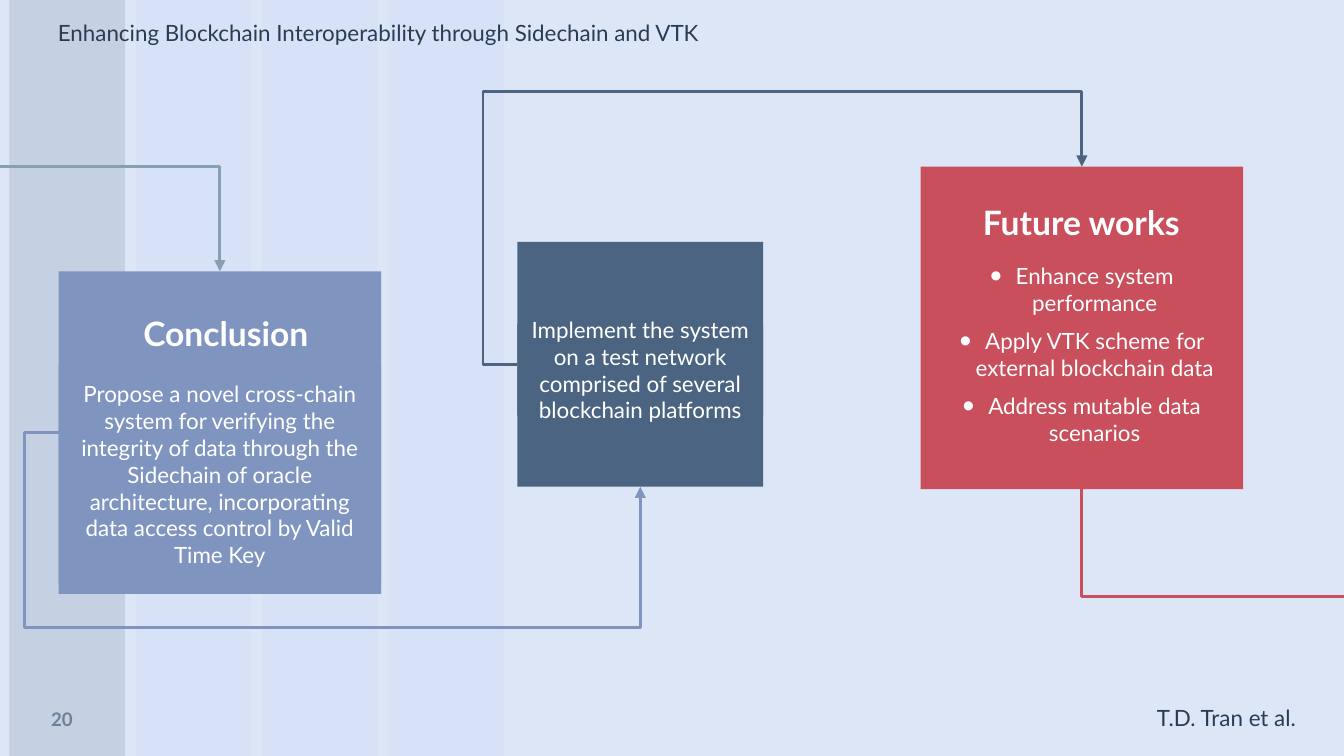
from lxml import etree
from pptx import Presentation
from pptx.dml.color import RGBColor
from pptx.enum.shapes import MSO_CONNECTOR, MSO_SHAPE
from pptx.enum.text import MSO_ANCHOR as Anchor, MSO_AUTO_SIZE, PP_ALIGN as Align
from pptx.oxml.ns import qn
from pptx.util import Pt

COLORS = {
    "background": "DDE6F7", "stripe": "D8E2F7", "dark stripe": "C6D0E3",
    "ink": "283D55", "number": "6D819A", "white": "FFFFFF",
    "incoming": "869FB2", "conclusion": "7F95C0", "test": "4A6482", "future": "C84F5B",
}
WIDTH, HEIGHT = 720, 405
HEADER = "Enhancing Blockchain Interoperability through Sidechain and VTK"
AUTHORS = "T.D. Tran et al."
PAGE_NUMBER = "20"

# Boxes are left, top, width, height in points.
CARDS = {
    "conclusion": (31.4, 145.4, 172.8, 172.8),
    "test": (277.2, 129.6, 131.6, 131.2),
    "future": (493.2, 89.3, 172.8, 172.8),
}
HEADINGS = [
    ("Conclusion", "conclusion", (60.5, 164.9, 121, 27.4)),
    ("Future works", "future", (514.1, 105.1, 130.3, 27.4)),
]
STATEMENTS = [
    ("Propose a novel cross-chain system for verifying the integrity of data through "
     "the Sidechain of oracle architecture, incorporating data access control by Valid "
     "Time Key", "conclusion", (31.4, 195.8, 172.8, 116.6)),
    ("Implement the system on a test network comprised of several blockchain platforms",
     "test", (277.2, 173.5, 131.6, 49)),
]
FUTURE_WORKS = [
    "Enhance system performance",
    "Apply VTK scheme for external blockchain data",
    "Address mutable data scenarios",
]
FUTURE_BOX = (493.2, 122.4, 172.8, 134.6)
LOOP_GAP = 18.4  # how far a loop swings out to the left of its card


def color(name):
    return RGBColor.from_string(COLORS[name])


def place(shape, box):
    shape.left, shape.top, shape.width, shape.height = map(Pt, box)


def add_block(box, fill):
    block = slide.shapes.add_shape(MSO_SHAPE.RECTANGLE, *map(Pt, box))
    block.shadow.inherit = False
    block.fill.solid()
    block.fill.fore_color.rgb = color(fill)
    block.line.fill.background()
    return block


def write(shape, lines, size=12, ink="white", bold=False, align=Align.CENTER,
          anchor=Anchor.MIDDLE, inset=7.2, bulleted=False):
    frame = shape.text_frame
    frame.word_wrap = True
    frame.auto_size = MSO_AUTO_SIZE.NONE
    frame.vertical_anchor = anchor
    frame.margin_left = frame.margin_right = Pt(7.2)
    frame.margin_top = frame.margin_bottom = Pt(inset)
    frame.text = "\n".join(lines)
    for i, paragraph in enumerate(frame.paragraphs):
        paragraph.alignment = align
        paragraph.space_before = Pt(6 if i else 0)
        if bulleted:
            add_bullet(paragraph)
        font = paragraph.font
        font.name, font.size, font.bold = "Lato", Pt(size), bold
        font.color.rgb = color(ink)


def add_bullet(paragraph):
    properties = paragraph._p.get_or_add_pPr()
    properties.set("marL", str(Pt(13.7)))
    properties.set("indent", str(Pt(-13.7)))
    bullet_color = etree.SubElement(properties, qn("a:buClr"))
    etree.SubElement(bullet_color, qn("a:srgbClr"), val=COLORS["white"])
    etree.SubElement(properties, qn("a:buSzPct"), val="150000")
    etree.SubElement(properties, qn("a:buFont"), typeface="Arial")
    etree.SubElement(properties, qn("a:buChar"), char="•")


def add_elbow(start, end, ink, bends=(), arrow=True):
    """Leave start sideways and reach end vertically.

    bends gives the x of the first turn and the y of the second one.
    """
    elbow = slide.shapes.add_connector(MSO_CONNECTOR.ELBOW, *map(Pt, start + end))
    elbow.line.color.rgb = color(ink)
    elbow.line.width = Pt(1.5)
    properties = elbow._element.spPr
    geometry = properties.find(qn("a:prstGeom"))
    geometry.set("prst", "bentConnector4" if bends else "bentConnector2")
    guides = geometry.find(qn("a:avLst"))
    for i, bend in enumerate(bends):
        ratio = (bend - start[i]) / (end[i] - start[i])
        etree.SubElement(guides, qn("a:gd"), name=f"adj{i + 1}",
                         fmla=f"val {round(ratio * 100000)}")
    if arrow:
        etree.SubElement(elbow.line._get_or_add_ln(), qn("a:tailEnd"), type="triangle")
    etree.SubElement(properties, qn("a:effectLst"))
    return elbow


def anchor_point(card, across, down):
    left, top, width, height = CARDS[card]
    return left + across * width, top + down * height


deck = Presentation()
deck.slide_width, deck.slide_height = Pt(WIDTH), Pt(HEIGHT)
slide = deck.slides.add_slide(deck.slide_layouts[1])
slide.background.fill.solid()
slide.background.fill.fore_color.rgb = color("background")
title, future_list = slide.placeholders

for i, fill in enumerate(["dark stripe"] + ["stripe"] * 3):
    add_block((5 + i * 67.7, 0, 61.9, HEIGHT), fill)

place(title, (23.8, 6.5, 492.5, 21.6))
write(title, [HEADER], ink="ink", align=Align.LEFT, anchor=Anchor.TOP, inset=3.6)
slide.shapes._spTree.append(title._element)

authors = slide.shapes.add_textbox(*map(Pt, (612.7, 373.7, 101.5, 21.6)))
write(authors, [AUTHORS], ink="ink", align=Align.LEFT, anchor=Anchor.TOP, inset=3.6)
number = slide.shapes.add_textbox(*map(Pt, (16.6, 374.4, 33.1, 21.6)))
write(number, [PAGE_NUMBER], size=10, ink="number", bold=True, inset=3.6)

for name, box in CARDS.items():
    add_block(box, name)

conclusion_top = anchor_point("conclusion", 0.5, 0)
conclusion_left = anchor_point("conclusion", 0, 0.5)
test_left = anchor_point("test", 0, 0.5)
test_bottom = anchor_point("test", 0.5, 1)
future_top = anchor_point("future", 0.5, 0)
future_bottom = anchor_point("future", 0.5, 1)

add_elbow((0, 89.3), conclusion_top, "incoming")
add_elbow(conclusion_left, test_bottom, "conclusion",
          (conclusion_left[0] - LOOP_GAP, 336.2))
add_elbow(test_left, future_top, "test", (test_left[0] - LOOP_GAP, 49))
add_elbow((WIDTH, 319.7), future_bottom, "future", arrow=False)

for text, fill, box in STATEMENTS:
    write(add_block(box, fill), [text])

place(future_list, FUTURE_BOX)
write(future_list, FUTURE_WORKS, bulleted=True)
slide.shapes._spTree.append(future_list._element)

for text, fill, box in HEADINGS:
    write(add_block(box, fill), [text], size=18, bold=True)

deck.save("out.pptx")
